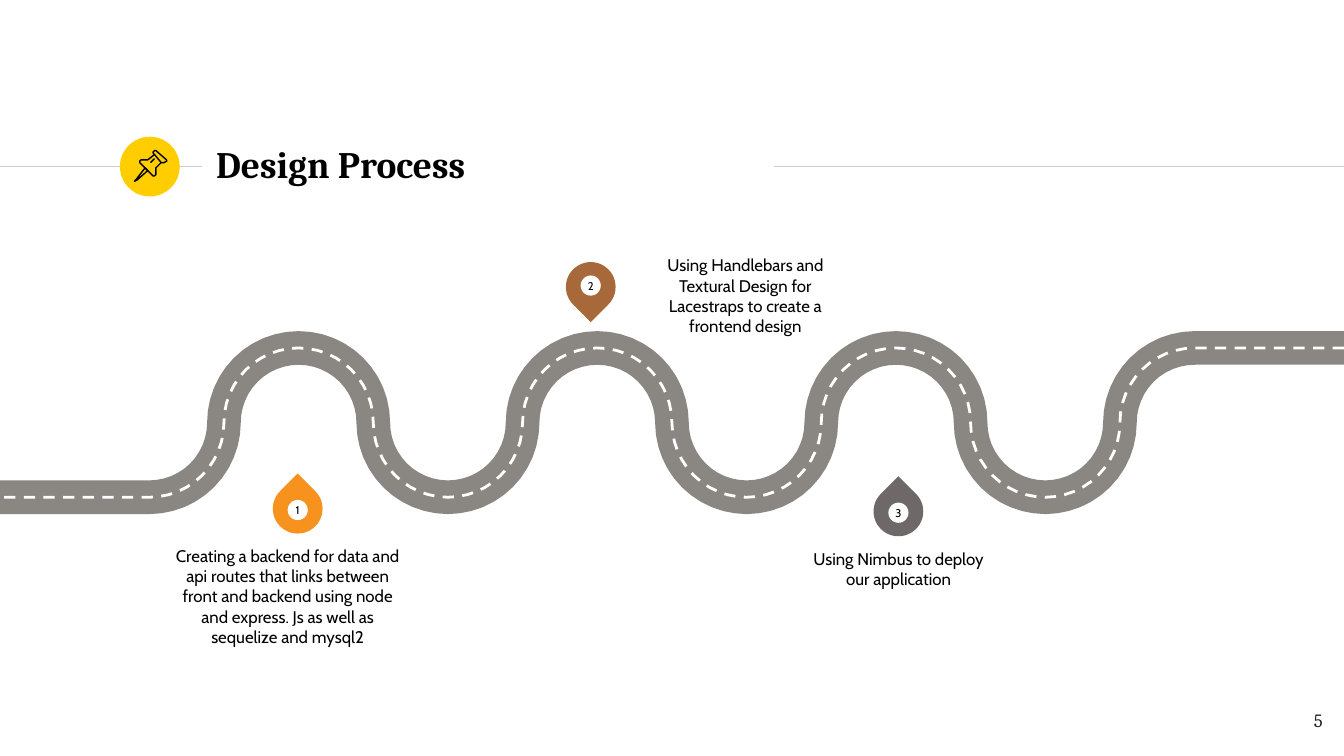
from math import cos, pi, sin

from lxml import etree
from pptx import Presentation, util as u
from pptx.dml.color import RGBColor
from pptx.enum import dml, shapes, text
from pptx.oxml import ns

# Grid: 100 columns by 56.25 rows of square cells
COLS, ROWS = 100, 56.25
CELL = u.Inches(0.1)

BLACK = RGBColor(0x00, 0x00, 0x00)
WHITE = RGBColor(0xFF, 0xFF, 0xFF)
INK = RGBColor(0x1D, 0x1D, 0x1B)
RULE = RGBColor(0xCC, 0xCC, 0xCC)
YELLOW = RGBColor(0xFF, 0xCD, 0x00)
ROAD = RGBColor(0x8A, 0x86, 0x82)
ORANGE = RGBColor(0xF6, 0x92, 0x1D)
BROWN = RGBColor(0xA7, 0x69, 0x3A)
GREY = RGBColor(0x6F, 0x68, 0x68)

MID, TOP, BASE = (text.MSO_ANCHOR.MIDDLE, text.MSO_ANCHOR.TOP,
                  text.MSO_ANCHOR.BOTTOM)
LEFT, RIGHT, MIDST = (text.PP_ALIGN.LEFT, text.PP_ALIGN.RIGHT,
                      text.PP_ALIGN.CENTER)
BODY = dict(name="Cabin", size=u.Pt(9))
LABEL = dict(name="Cabin", size=u.Pt(6))
TITLE = dict(name="Cambria", size=u.Pt(20), bold=True)
PAGE = dict(name="Cambria", size=u.Pt(10))

# Column and row of each pin's centre, its turn, colour and number
PINS = [(22.15, 37.85, 315, ORANGE, "1"),
        (43.95, 21.35, 135, BROWN, "2"),
        (66.85, 38.05, 315, GREY, "3")]

NOTES = [
    ((12.6, 40.6, 17.6, 10.2), TOP,
     "Creating a backend for data and api routes that links between front "
     "and backend using node and express. Js as well as sequelize and mysql2"),
    ((48.4, 19.2, 14.1, 5.8), BASE,
     "Using Handlebars and Textural Design for Lacestraps to create a "
     "frontend design"),
    ((59.8, 40.8, 14.1, 5.8), TOP, "Using Nimbus to deploy our application"),
]

# Push pin outlines: needle, cap, body, shine
ICON = [
    ([(10.8, 12.5), (10.1, 13.4), (10, 13.5), (10.2, 13.4), (11, 12.7)], True),
    ([(11.5, 11.5), (12, 12.1), (12.2, 12.1), (12.4, 12), (12.4, 11.9),
      (11.6, 11.2), (11.5, 11.2), (11.4, 11.3), (11.4, 11.4)], True),
    ([(11.5, 11.5), (11, 11.9), (10.8, 11.9), (10.5, 11.9), (10.4, 12),
      (10.4, 12.1), (11.4, 13.1), (11.5, 13.1), (11.6, 13), (11.6, 12.8),
      (11.6, 12.5), (12, 12.1)], False),
    ([(11.2, 12.1), (11.5, 11.8)], False),
]


def grid(*cells):
    return [round(n * CELL) for n in cells]


def write(shape, words, font, align=MIDST, anchor=MID, inset=0, ink=BLACK):
    frame = shape.text_frame
    pad = grid(inset)[0]
    look = dict(word_wrap=True, vertical_anchor=anchor, margin_left=pad,
                margin_right=pad, margin_top=pad, margin_bottom=pad)
    for key, val in look.items():
        setattr(frame, key, val)
    para = frame.paragraphs[0]
    para.alignment = align
    run = para.add_run()
    run.text = words
    for key, val in font.items():
        setattr(run.font, key, val)
    run.font.color.rgb = ink


def block(tree, box, words, font, **look):
    write(tree.add_textbox(*grid(*box)), words, font, **look)


def solid(tree, kind, x, y, size, fill, turn=0):
    """Add a filled square shape centred on x, y."""
    half = size / 2
    shape = tree.add_shape(kind, *grid(x - half, y - half, size, size))
    shape.shadow.inherit = False
    shape.fill.solid()
    shape.fill.fore_color.rgb = fill
    shape.line.fill.background()
    shape.rotation = turn
    return shape


def rule(tree, start, end, row):
    line = tree.add_connector(shapes.MSO_CONNECTOR.STRAIGHT,
                              *grid(start, row, end, row))
    line.line.color.rgb = RULE
    line.line.width = u.Pt(0.75)
    etree.SubElement(line._element.spPr, ns.qn("a:effectLst"))


def trace(tree, dots, ink, width, close=False, dash=None):
    dots = [grid(*dot) for dot in dots]
    pen = tree.build_freeform(*dots[0])
    pen.add_line_segments(dots[1:], close=close)
    shape = pen.convert_to_shape()
    shape.shadow.inherit = False
    shape.fill.background()
    shape.line.color.rgb = ink
    shape.line.width = u.Pt(width)
    shape.line.dash_style = dash


def bends(steps=24):
    """Road from right to left: half circles, flat at both ends."""
    rad, mid, last = COLS / 18, 31.45, 7
    dots = [(COLS, mid - rad)]
    for k in range(last, -1, -1):
        side = -1 if k % 2 else 1
        first = steps // 2 if k == last else 0
        final = steps // 2 if k == 0 else steps
        for n in range(first, final + 1):
            turn = pi * n / steps
            dots.append((2 * rad * (k + 1) + rad * cos(turn),
                         mid + side * rad * sin(turn)))
    return dots + [(0, mid + rad)]


def marker(tree, x, y, turn, fill, label):
    group = tree.add_group_shape().shapes
    solid(group, shapes.MSO_SHAPE.TEAR, x, y, 3.7, fill, turn)
    shift = 0.1 if turn > 180 else -0.1
    dot = solid(group, shapes.MSO_SHAPE.OVAL, x, y + shift, 1.5, WHITE)
    write(dot, label, LABEL)


def main():
    deck = Presentation()
    deck.slide_width, deck.slide_height = grid(COLS, ROWS)
    tree = deck.slides.add_slide(deck.slide_layouts[6]).shapes

    # Heading and page number
    rule(tree, 0, 15, 12.4)
    solid(tree, shapes.MSO_SHAPE.OVAL, 11.15, 12.4, 4.45, YELLOW)
    rule(tree, 57.6, COLS, 12.4)
    block(tree, (15.1, 9.8, 42.4, 4.8), "Design Process", TITLE,
          align=LEFT, inset=1)
    block(tree, (93.4, 51.9, 6, 4.3), "5", PAGE, align=RIGHT, anchor=TOP,
          inset=1, ink=INK)

    # Road and its centre line
    road = bends()
    trace(tree, road, ROAD, 18)
    trace(tree, road, WHITE, 1.5, dash=dml.MSO_LINE.DASH)

    # Steps
    for pin in PINS:
        marker(tree, *pin)
    for box, anchor, words in NOTES:
        block(tree, box, words, BODY, anchor=anchor)

    # Push pin icon
    icon = tree.add_group_shape().shapes
    for dots, close in ICON:
        trace(icon, dots, BLACK, 0.75, close)

    deck.save("out.pptx")


if __name__ == "__main__":
    main()
